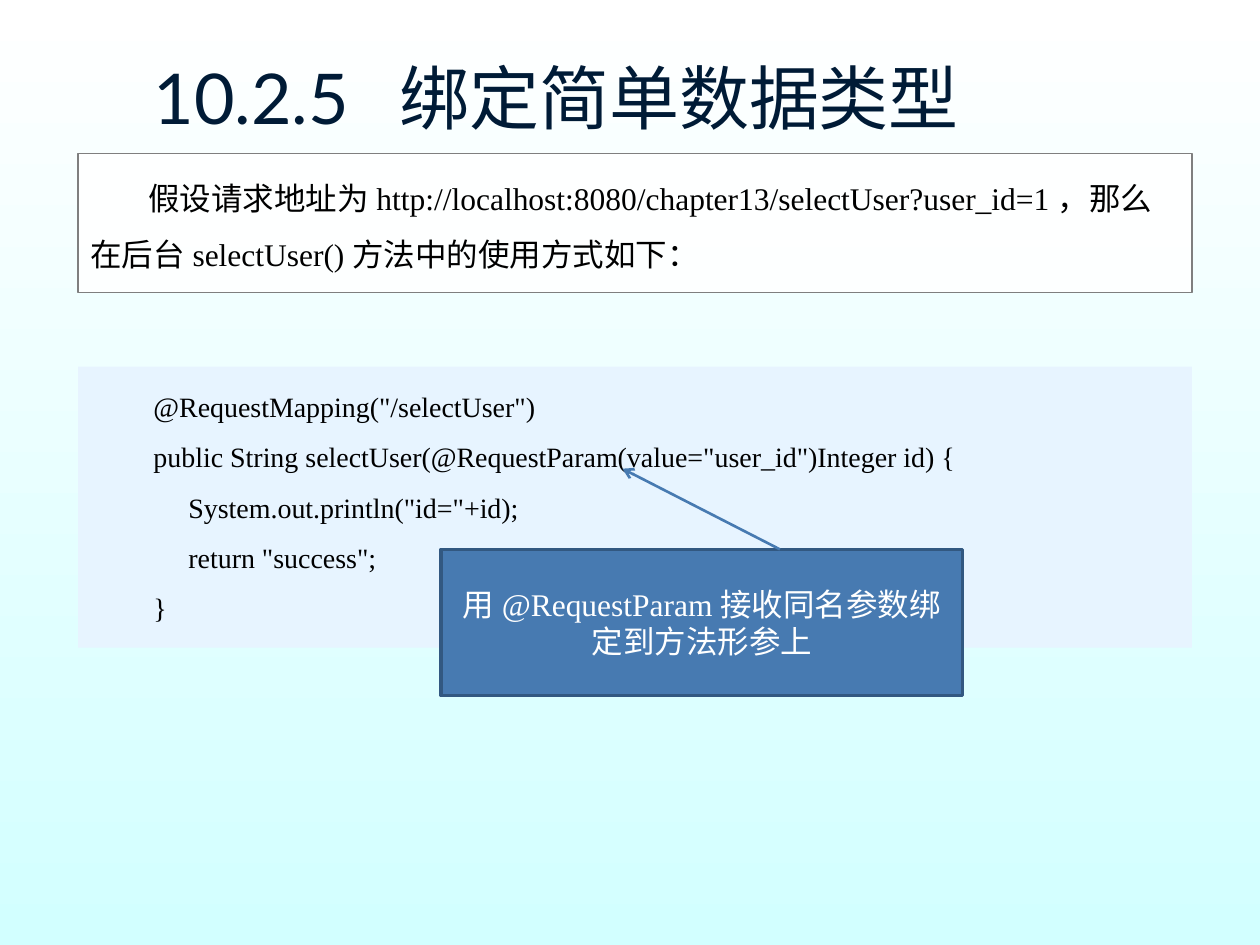
from pptx import Presentation
from pptx.dml.color import RGBColor as RGB
from pptx.enum.shapes import MSO_CONNECTOR as CONN, MSO_SHAPE as SHAPE
from pptx.enum.text import MSO_ANCHOR as ANCHOR, PP_ALIGN as ALIGN
from pptx.oxml.ns import qn
from pptx.util import Inches, Pt
from lxml.etree import SubElement

TITLE = "10.2.5\t绑定简单数据类型"
INTRO = ("假设请求地址为http://localhost:8080/chapter13/selectUser?user_id=1，"
         "那么在后台selectUser()方法中的使用方式如下：")
CODE = [
    '@RequestMapping("/selectUser")',
    'public String selectUser(@RequestParam(value="user_id")Integer id) {',
    '     System.out.println("id="+id);',
    '     return "success";',
    '}',
]
NOTE = [("用", "Cambria"),
        ("@RequestParam接收同名参数绑定到方法形参上", "Times New Roman")]

THEME = {
    "sky": ("FFFFFF", "D2FFFF"), "title": "001B36", "text": "000000",
    "white": "FFFFFF", "border": "7F7F7F", "code": "E7F4FF",
    "accent": "477AB1", "edge": "325881",
    "head_font": "Lato", "body_font": "Times New Roman",
    "title_size": 40, "body_size": 18, "code_size": 16,
}
LEFT, WIDTH = 0.62, 8.84
NOTE_TOP = 4.36


def rgb(name):
    return RGB.from_string(THEME[name])


def add_panel(s, box, fill, line=None, weight=1):
    sp = s.shapes.add_shape(SHAPE.RECTANGLE, *map(Inches, box))
    sp.shadow.inherit = False
    sp.fill.solid()
    sp.fill.fore_color.rgb = rgb(fill)
    if line:
        sp.line.color.rgb = rgb(line)
        sp.line.width = Pt(weight)
    else:
        sp.line.fill.background()
    return sp


def add_text(s, box):
    sp = s.shapes.add_textbox(*map(Inches, box))
    sp.text_frame.word_wrap = True
    return sp.text_frame


def style(p, size, color, font=None, align=ALIGN.LEFT, spacing=None):
    p.alignment = align
    p.line_spacing = spacing
    p.font.size = Pt(THEME[size])
    p.font.color.rgb = rgb(color)
    if font:
        p.font.name = THEME[font]


def indent(p, first, left=0):
    pPr = p._p.get_or_add_pPr()
    pPr.set("marL", str(Inches(left)))
    pPr.set("indent", str(Inches(first)))


def add_title(s):
    tf = add_text(s, (0.9, 0.34, 7.06, 0.85))
    tf.vertical_anchor = ANCHOR.MIDDLE
    tf.margin_left = Inches(0.32)
    p = tf.paragraphs[0]
    p.text = TITLE
    tabs = SubElement(p._p.get_or_add_pPr(), qn("a:tabLst"))
    SubElement(tabs, qn("a:tab"), pos=str(Inches(1.95)), algn="l")
    style(p, "title_size", "title", "head_font")


def add_intro(s):
    panel = add_panel(s, (LEFT, 1.22, WIDTH, 1.1), "white", "border", 0.75)
    color = panel._element.spPr.find(qn("a:solidFill"))[0]
    SubElement(color, qn("a:alpha"), val="90000")
    p = add_text(s, (LEFT, 1.22, 8.86, 1)).paragraphs[0]
    p.text = INTRO
    indent(p, 0.46)
    style(p, "body_size", "text", "body_font", spacing=1.5)


def add_code(s):
    tf = add_panel(s, (LEFT, 2.91, WIDTH, 2.23), "code").text_frame
    tf.vertical_anchor = ANCHOR.TOP
    for i, line in enumerate(CODE):
        p = tf.add_paragraph() if i else tf.paragraphs[0]
        p.text = line
        p.level = 1
        indent(p, -0.31, 0.81)
        style(p, "code_size", "text", "body_font", spacing=1.5)


def add_note(s):
    tf = add_panel(s, (3.5, NOTE_TOP, 4.14, 1.16), "accent", "edge", 2).text_frame
    tf.word_wrap = True
    tf.vertical_anchor = ANCHOR.MIDDLE
    p = tf.paragraphs[0]
    for text, font in NOTE:
        r = p.add_run()
        r.text = text
        r.font.name = font
    style(p, "body_size", "white", align=ALIGN.CENTER)


def add_arrow(s):
    ends = map(Inches, (6.19, NOTE_TOP, 4.94, 3.72))
    arrow = s.shapes.add_connector(CONN.STRAIGHT, *ends)
    arrow.line.color.rgb = rgb("accent")
    arrow.line.width = Pt(1.5)
    SubElement(arrow.line._get_or_add_ln(), qn("a:tailEnd"), type="arrow")
    SubElement(arrow._element.spPr, qn("a:effectLst"))


def main():
    """Build the slide on binding simple data types."""
    prs = Presentation()
    prs.slide_width, prs.slide_height = Inches(10), Inches(7.5)
    s = prs.slides.add_slide(prs.slide_layouts[6])
    sky = s.background.fill
    sky.gradient()
    sky.gradient_angle = 270
    for stop, color in zip(sky.gradient_stops, THEME["sky"]):
        stop.color.rgb = RGB.from_string(color)
    for add_part in (add_title, add_intro, add_code, add_note, add_arrow):
        add_part(s)
    prs.save("out.pptx")


if __name__ == "__main__":
    main()
